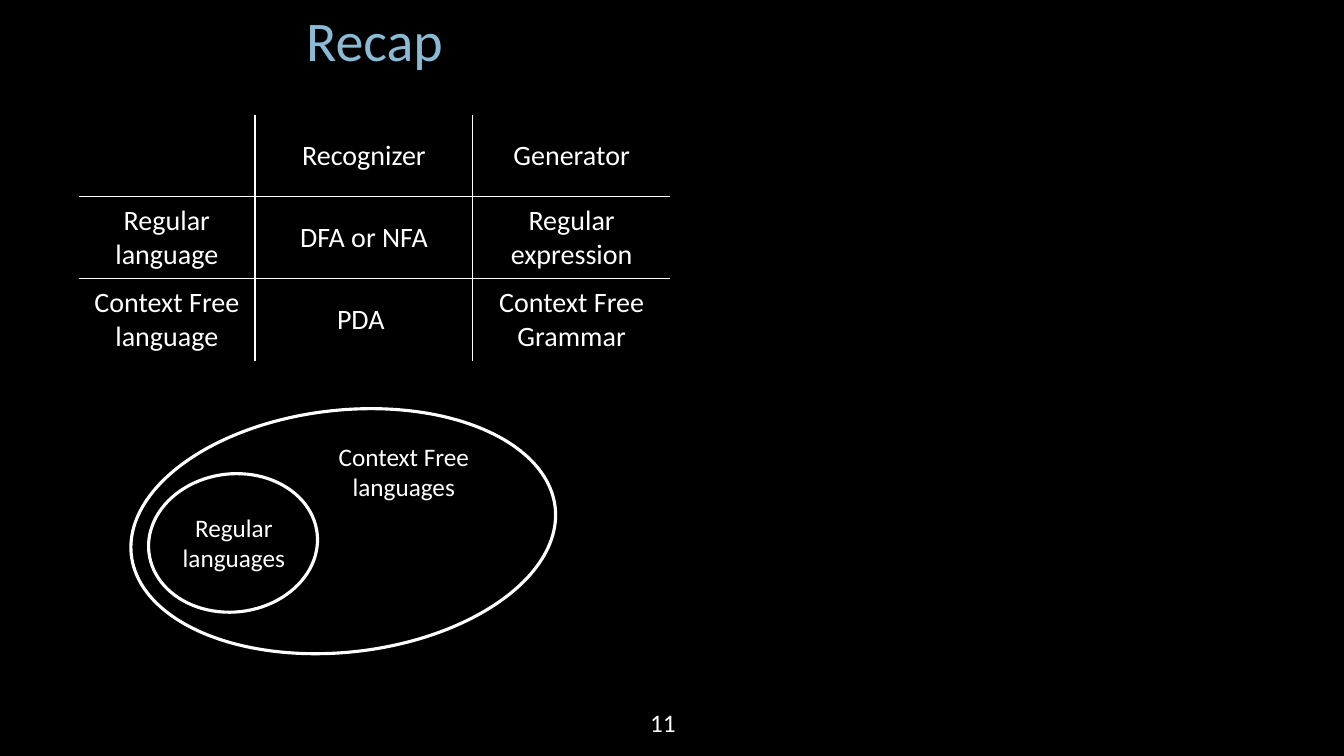
from dataclasses import dataclass

from lxml import etree
from pptx import Presentation
from pptx.dml.color import RGBColor
from pptx.enum.shapes import MSO_SHAPE
from pptx.enum.text import MSO_ANCHOR, PP_ALIGN
from pptx.oxml.ns import qn
from pptx.util import Inches, Pt

OVAL = MSO_SHAPE.OVAL
TOP, MIDDLE = MSO_ANCHOR.TOP, MSO_ANCHOR.MIDDLE
LEFT, CENTER = PP_ALIGN.LEFT, PP_ALIGN.CENTER


@dataclass(frozen=True)
class Theme:
    """Colours, font and sizes of the slide."""
    back: str = "000000"
    ink: str = "FFFFFF"
    head: str = "8ABAD4"
    font: str = "Calibri"
    title: int = 40
    cell: int = 20
    label: int = 18
    rule: float = 1
    ring: float = 2.25


THEME = Theme()
TILT = -6.4
COLS = (1.75, 2.16, 1.96)
ROWS = (
    ("", "Recognizer", "Generator"),
    ("Regular language", "DFA or NFA", "Regular expression"),
    ("Context Free language", "PDA ", "Context Free Grammar"),
)


def write(frame, text, size=THEME.label, color=THEME.ink, align=CENTER,
          anchor=TOP, wrap=True):
    """Put formatted text into a text frame."""
    frame.word_wrap = wrap
    frame.vertical_anchor = anchor
    para = frame.paragraphs[0]
    para.alignment = align
    run = para.add_run()
    run.text = text
    run.font.name = THEME.font
    run.font.size = Pt(size)
    run.font.color.rgb = RGBColor.from_string(color)


def place(box, part):
    """Turn shares of a box into a box of lengths."""
    x, y, w, h = box
    px, py, pw, ph = part
    return [Inches(n) for n in (x + px * w, y + py * h, pw * w, ph * h)]


def label(slide, box, part, text, **form):
    """Add a text box at a share of the given box."""
    area = slide.shapes.add_textbox(*place(box, part))
    write(area.text_frame, text, **form)


def edge(cell, sides):
    """Rule the named sides of a cell and clear the others."""
    props = cell._tc.get_or_add_tcPr()
    for spot, side in enumerate("LRTB"):
        line = etree.Element(qn(f"a:ln{side}"), w=str(Pt(THEME.rule)))
        if side in sides:
            fill = etree.SubElement(line, qn("a:solidFill"))
            etree.SubElement(fill, qn("a:srgbClr"), val=THEME.ink)
        else:
            etree.SubElement(line, qn("a:noFill"))
        props.insert(spot, line)


def heading(slide, box):
    """Place the title in its box."""
    title = slide.shapes.title
    title.left, title.top, title.width, title.height = place(box, (0, 0, 1, 1))
    write(title.text_frame, "Recap", size=THEME.title, color=THEME.head)


def grid(slide, box):
    """Draw the table with inner rules only."""
    table = slide.shapes.add_table(
        len(ROWS), len(COLS), *place(box, (0, 0, 1, 1))).table
    table.first_row = table.horz_banding = False
    for col, width in zip(table.columns, COLS):
        col.width = Inches(width)
    for r, row in enumerate(ROWS):
        for c, text in enumerate(row):
            cell = table.cell(r, c)
            cell.fill.background()
            sides = ("L" * (c > 0) + "R" * (c < len(COLS) - 1)
                     + "T" * (r > 0) + "B" * (r < len(ROWS) - 1))
            edge(cell, sides)
            cell.vertical_anchor = MIDDLE
            if text:
                write(cell.text_frame, text, size=THEME.cell, anchor=MIDDLE)


def ring(slide, box, part):
    """Draw a tilted, unfilled ellipse."""
    oval = slide.shapes.add_shape(OVAL, *place(box, part))
    oval.rotation = TILT
    oval.shadow.inherit = False
    oval.fill.background()
    oval.line.color.rgb = RGBColor.from_string(THEME.ink)
    oval.line.width = Pt(THEME.ring)


def venn(slide, box):
    """Nest the regular languages in the context free ones."""
    ring(slide, box, (0.043, 0.263, 0.397, 0.571))
    ring(slide, box, (0, 0, 1, 1))
    label(slide, box, (0.078, 0.4, 0.331, 0.296), "Regular languages")
    label(slide, box, (0.459, 0.108, 0.366, 0.296), "Context Free languages")


def main():
    """Build and save the slide."""
    deck = Presentation()
    deck.slide_width, deck.slide_height = Inches(13.33), Inches(7.5)
    slide = deck.slides.add_slide(deck.slide_layouts[5])
    paint = slide.background.fill
    paint.solid()
    paint.fore_color.rgb = RGBColor.from_string(THEME.back)
    heading(slide, (1.58, 0, 4.27, 0.77))
    grid(slide, (0.78, 1.14, sum(COLS), 2.44))
    venn(slide, (1.29, 4.07, 4.23, 2.4))
    label(slide, (6.35, 6.97, 0.46, 0.4), (0, 0, 1, 1), "11",
          align=LEFT, wrap=False)
    deck.save("out.pptx")


if __name__ == "__main__":
    main()
